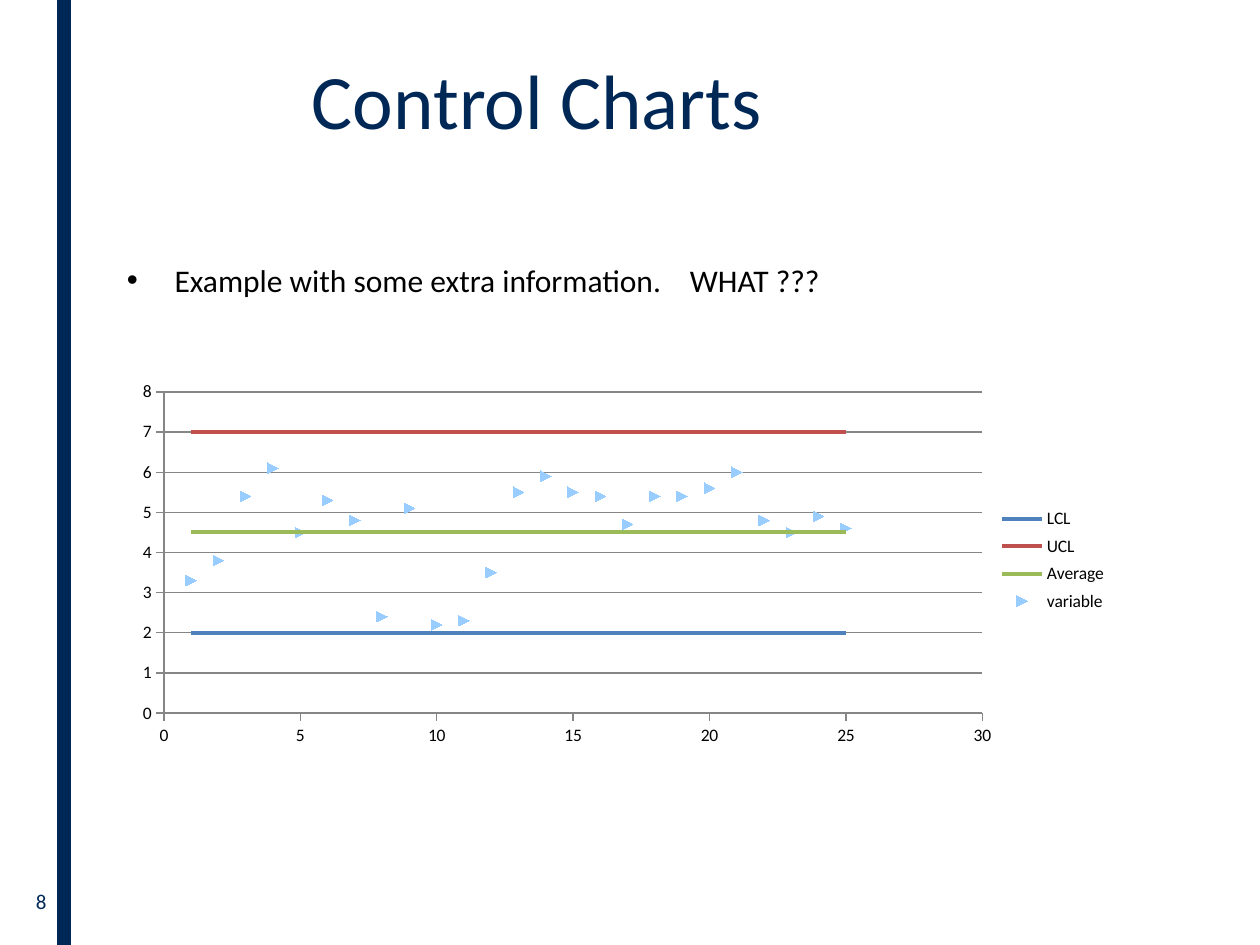
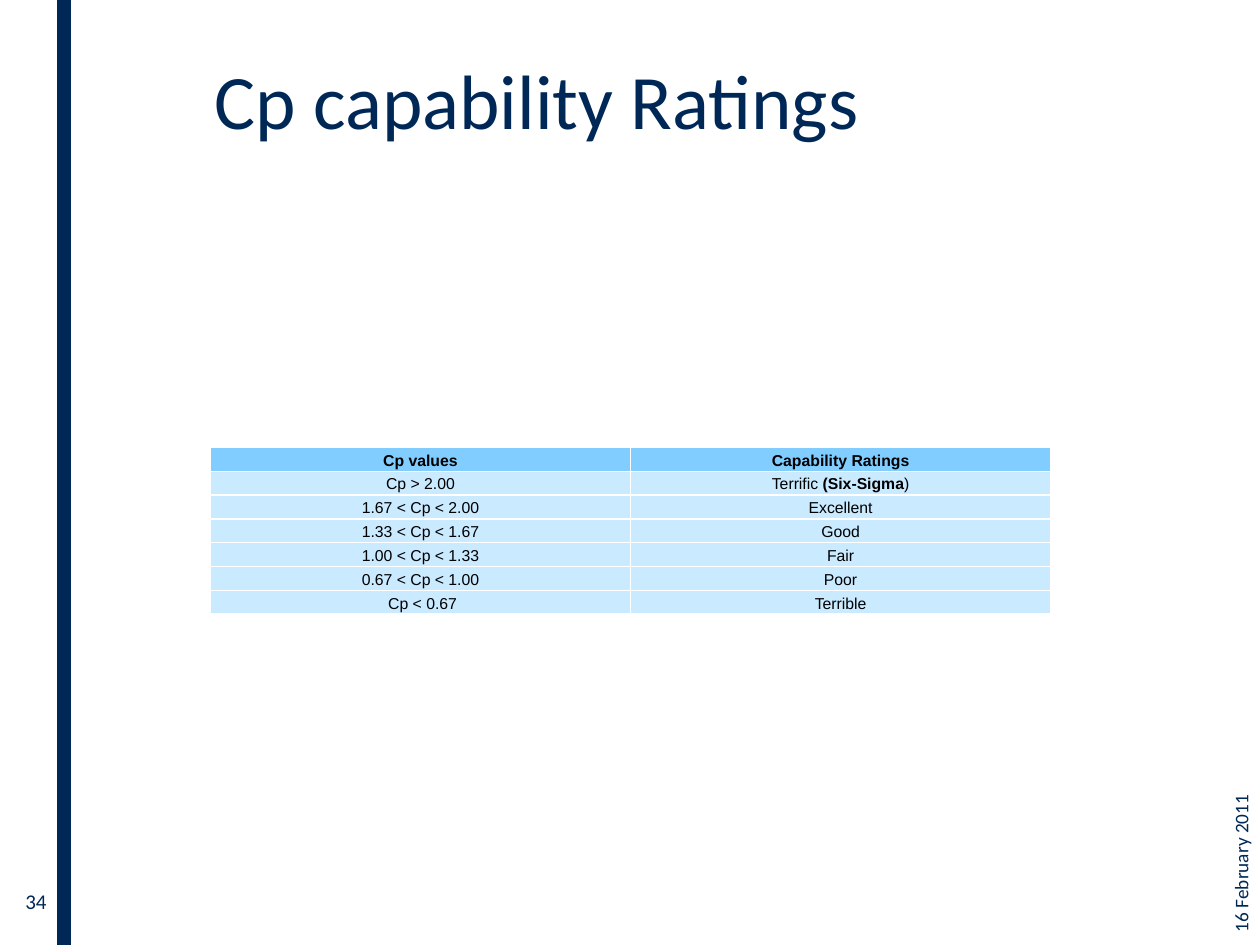
from lxml import etree
from pptx import Presentation
from pptx.chart.data import XyChartData
from pptx.dml.color import RGBColor
from pptx.enum.chart import XL_CHART_TYPE, XL_MARKER_STYLE, XL_TICK_MARK
from pptx.enum.shapes import MSO_SHAPE
from pptx.enum.text import MSO_ANCHOR, PP_ALIGN
from pptx.oxml.ns import qn
from pptx.util import Cm, Pt

SCATTER = XL_CHART_TYPE.XY_SCATTER_LINES_NO_MARKERS
DOT, NO_MARKER = XL_MARKER_STYLE.DOT, XL_MARKER_STYLE.NONE
TICK_OUT = XL_TICK_MARK.OUTSIDE
RECTANGLE = MSO_SHAPE.RECTANGLE
TOP, MIDDLE = MSO_ANCHOR.TOP, MSO_ANCHOR.MIDDLE
LEFT, CENTER, RIGHT = PP_ALIGN.LEFT, PP_ALIGN.CENTER, PP_ALIGN.RIGHT

COLORS = {
    "navy": "002857", "black": "000000", "grid": "868686",
    "lower": "4F81BD", "upper": "C0504D", "average": "9BBB59",
    "variable": "99CCFF", "header": "82CDFF", "row": "CAEAFF",
}

# Text formats
TITLE = {"name": "Calibri", "size": 44, "color": "navy"}
BODY = {"name": "Calibri", "size": 18, "color": "black"}
NUMBER = {"name": "Calibri", "size": 12, "color": "navy"}
DATE = {"name": "Calibri", "size": 11, "color": "navy"}
CHART_TEXT = {"name": "Calibri", "size": 10, "color": "black"}
CELL = {"name": "Arial", "size": 9, "color": "black", "bold": False}
CELL_BOLD = {**CELL, "bold": True}

# Control chart data
SAMPLES = range(1, 26)
VARIABLE = [3.3, 3.8, 5.4, 6.1, 4.5, 5.3, 4.8, 2.4, 5.1, 2.2, 2.3, 3.5, 5.5,
            5.9, 5.5, 5.4, 4.7, 5.4, 5.4, 5.6, 6, 4.8, 4.5, 4.9, 4.6]
SERIES = [
    ("LCL", "lower", [2] * len(SAMPLES)),
    ("UCL", "upper", [7] * len(SAMPLES)),
    ("Average", "average", [4.5] * len(SAMPLES)),
    ("variable", "variable", VARIABLE),
]

# Each cell is a list of (text, format) spans
RATINGS = [
    ([("Cp values", CELL_BOLD)], [("Capability Ratings", CELL_BOLD)]),
    ([("Cp > 2.00", CELL)],
     [("Terrific ", CELL), ("(Six-Sigma", CELL_BOLD), (")", CELL)]),
    ([("1.67 < Cp < 2.00", CELL)], [("Excellent", CELL)]),
    ([("1.33 < Cp < 1.67", CELL)], [("Good", CELL)]),
    ([("1.00 < Cp < 1.33", CELL)], [("Fair", CELL)]),
    ([("0.67 < Cp < 1.00", CELL)], [("Poor", CELL)]),
    ([(" Cp < 0.67", CELL)], [("Terrible", CELL)]),
]


def rgb(name):
    return RGBColor.from_string(COLORS[name])


def format_font(font, style):
    for key, value in style.items():
        if key == "color":
            font.color.rgb = rgb(value)
        else:
            setattr(font, key, Pt(value) if key == "size" else value)


def add_span(para, text, style):
    span = para.add_run()
    span.text = text
    format_font(span.font, style)
    return span


def add_text(page, place, text, style, align=LEFT, anchor=MIDDLE):
    box = page.shapes.add_textbox(*map(Cm, place))
    box.text_frame.word_wrap = True
    box.text_frame.vertical_anchor = anchor
    para = box.text_frame.paragraphs[0]
    para.alignment = align
    add_span(para, text, style)
    return box


def add_page(deck, title, number):
    """Add a blank page with the side band, title and page number."""
    page = deck.slides.add_slide(deck.slide_layouts[6])
    band = page.shapes.add_shape(RECTANGLE, Cm(1.19), 0, Cm(0.2), deck.slide_height)
    band.shadow.inherit = False
    band.fill.solid()
    band.fill.fore_color.rgb = band.line.color.rgb = rgb("navy")
    band.line.width = Pt(2)
    add_text(page, (1.4, 0.41, 18.85, 3.18), title, TITLE, CENTER)
    add_text(page, (0, 17.65, 1.19, 1.02), number, NUMBER, RIGHT)
    return page


def add_bullet(page, place, text, aside):
    """Add a bullet line, with an aside set off by a wide space."""
    para = add_text(page, place, text, BODY, anchor=TOP).text_frame.paragraphs[0]
    para.space_before = Pt(3.6)
    gap = add_span(para, " ", BODY)
    gap.font._element.set("spc", "1220")
    add_span(para, aside, BODY)
    properties = para._p.get_or_add_pPr()
    properties.set("marL", str(Cm(0.96)))
    properties.set("indent", str(-Cm(0.96)))
    etree.SubElement(properties, qn("a:buFont"), typeface="Arial")
    etree.SubElement(properties, qn("a:buChar"), char="•")


def place_part(part, index, fractions, inner=False):
    """Fix a chart part at x, y, w, h as fractions of the chart."""
    for old in part.findall(qn("c:layout")):
        part.remove(old)
    layout = etree.Element(qn("c:layout"))
    manual = etree.SubElement(layout, qn("c:manualLayout"))
    if inner:
        etree.SubElement(manual, qn("c:layoutTarget"), val="inner")
    for key in ("xMode", "yMode"):
        etree.SubElement(manual, qn("c:" + key), val="edge")
    for key, value in zip("xywh", fractions):
        etree.SubElement(manual, qn("c:" + key), val=str(value))
    part.insert(index, layout)


def format_axis(axis, maximum, step, grid):
    axis.minimum_scale, axis.maximum_scale, axis.major_unit = 0, maximum, step
    axis.major_tick_mark = TICK_OUT
    axis.has_major_gridlines = grid
    lines = [axis.format.line]
    if grid:
        lines.append(axis.major_gridlines.format.line)
    for line in lines:
        line.color.rgb = rgb("grid")
        line.width = Pt(0.75)


def add_control_chart(page, place):
    data = XyChartData()
    for name, _, values in SERIES:
        series = data.add_series(name)
        for sample, value in zip(SAMPLES, values):
            series.add_data_point(sample, value)
    chart = page.shapes.add_chart(SCATTER, *map(Cm, place), data).chart
    chart.has_title = False
    chart.has_legend = True
    chart.legend.include_in_layout = False
    format_font(chart.font, CHART_TEXT)
    chart.plots[0].vary_by_categories = False
    format_axis(chart.category_axis, 30, 5, False)
    format_axis(chart.value_axis, 8, 1, True)

    # Limits are lines, measurements are markers only
    for series, (_, color, _) in zip(chart.plots[0].series, SERIES):
        series.smooth = False
        series.marker.style = NO_MARKER
        if color == "variable":
            series.format.line.fill.background()
            series.marker.style = DOT
            series.marker.size = 6
            series.marker.format.fill.solid()
            series.marker.format.fill.fore_color.rgb = rgb(color)
            series.marker.format.line.color.rgb = rgb(color)
        else:
            series.format.line.color.rgb = rgb(color)
            series.format.line.width = Pt(2.25)

    parts = chart.element.find(qn("c:chart"))
    place_part(parts.find(qn("c:plotArea")), 0, (0.04, 0.05, 0.81, 0.85), True)
    place_part(parts.find(qn("c:legend")), 1, (0.85, 0.34, 0.14, 0.31))


def add_ratings_table(page, left, top, column_width, row_height):
    rows, columns = len(RATINGS), len(RATINGS[0])
    table = page.shapes.add_table(
        rows, columns, Cm(left), Cm(top),
        Cm(column_width * columns), Cm(row_height * rows)).table
    table.first_row = table.horz_banding = False
    for row_index, row in enumerate(RATINGS):
        table.rows[row_index].height = Cm(row_height)
        for column_index, spans in enumerate(row):
            cell = table.cell(row_index, column_index)
            cell.fill.solid()
            cell.fill.fore_color.rgb = rgb("row" if row_index else "header")
            cell.vertical_anchor = MIDDLE
            for side in ("left", "right", "top", "bottom"):
                setattr(cell, "margin_" + side, Cm(0.02))
            para = cell.text_frame.paragraphs[0]
            para.alignment = CENTER
            para.line_spacing = 1.15
            para.space_after = Pt(10)
            for text, style in spans:
                add_span(para, text, style)


def main():
    deck = Presentation()
    deck.slide_width, deck.slide_height = Cm(25.4), Cm(19.05)

    # Control chart
    page = add_page(deck, "Control Charts", "8")
    add_bullet(page, (2.31, 5.13, 21.79, 9.5),
               "Example with some extra information.", "WHAT ???")
    add_control_chart(page, (2.49, 7.52, 20.37, 7.62))

    # Capability ratings
    page = add_page(deck, "Cp capability Ratings", "34")
    date = add_text(page, (22.05, 15.57, 5.92, 1.02), "16 February 2011", DATE)
    date.rotation = 270
    add_ratings_table(page, 4.24, 9.02, 8.47, 0.46)

    deck.save("out.pptx")


if __name__ == "__main__":
    main()
